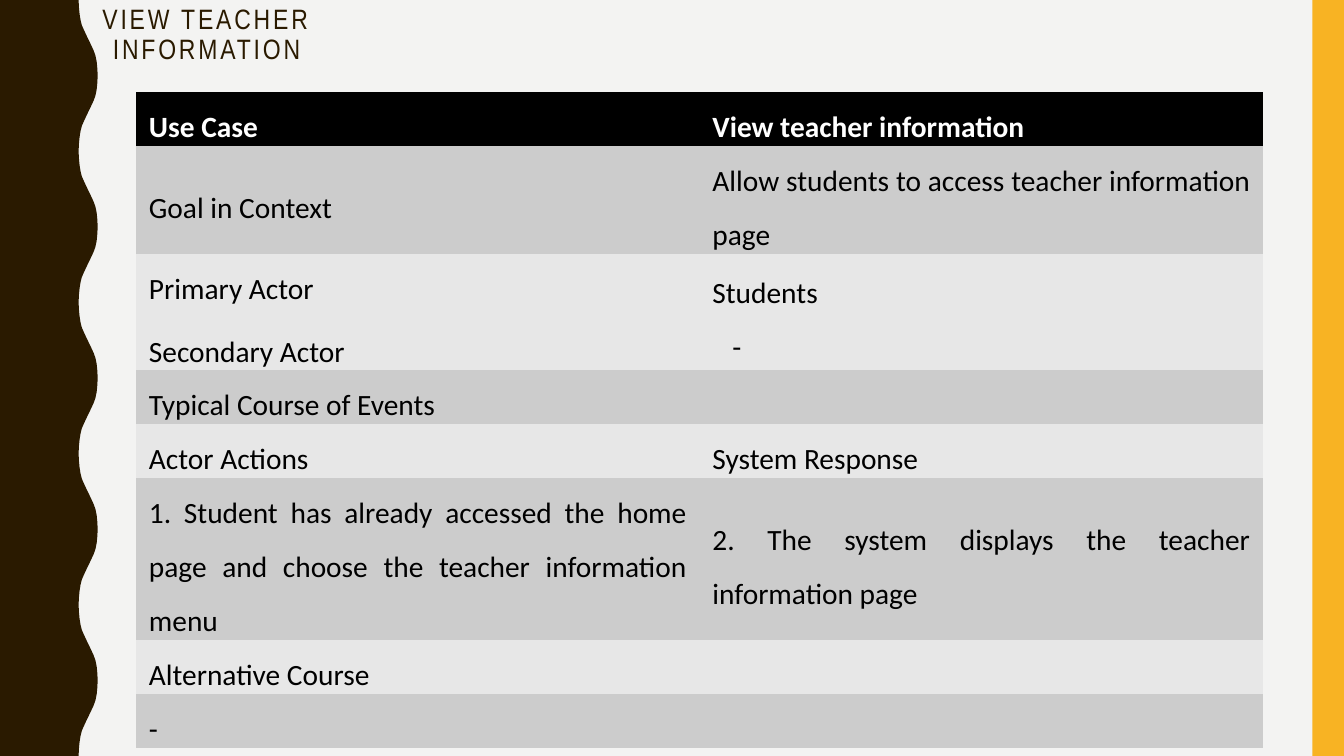
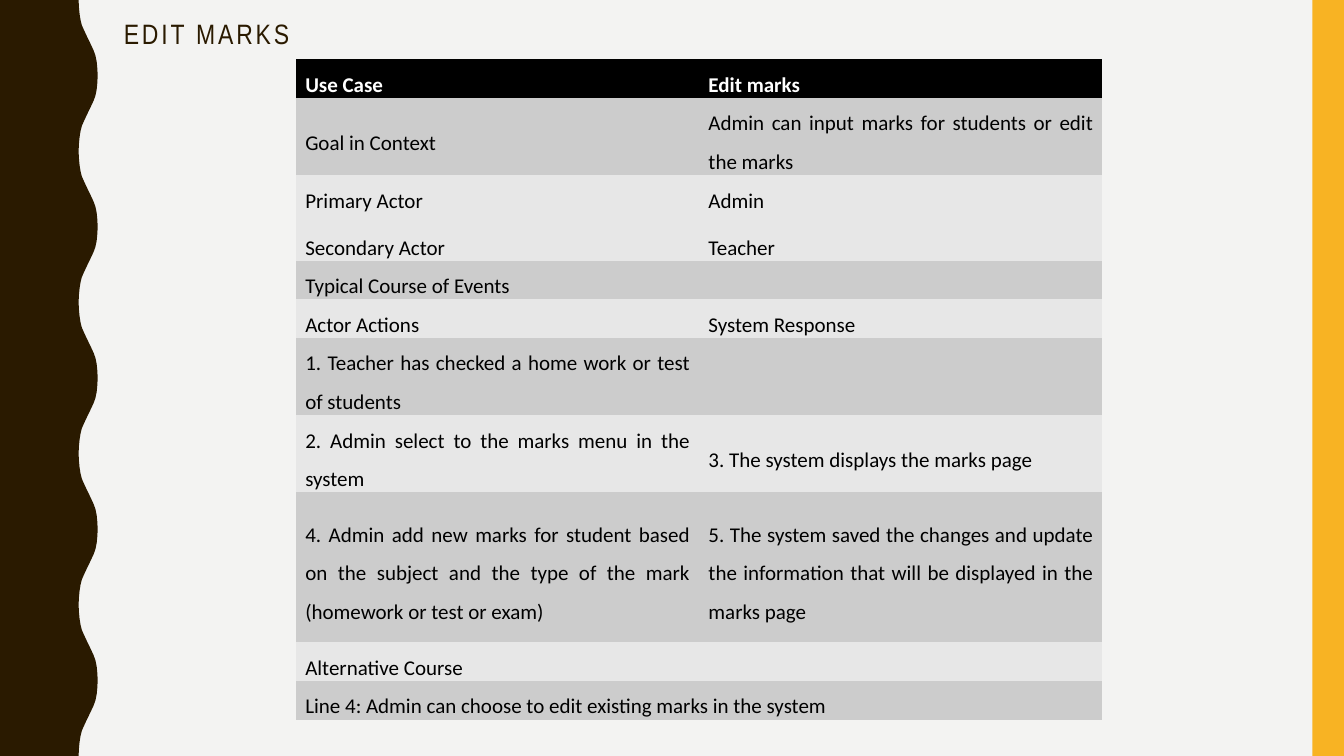
import pptx
import pptx.dml.color
import pptx.enum.shapes
import pptx.enum.text
import pptx.util

Pt = pptx.util.Pt
ALIGN = pptx.enum.text.PP_ALIGN
MIDDLE = pptx.enum.text.MSO_ANCHOR.MIDDLE

COLORS = {
    "background": "F3F3F2", "wave": "2A1A00", "stripe": "F8B323", "title": "2A1A00",
    "header": "000000", "header_text": "FFFFFF", "text": "000000",
    "dark_row": "CCCCCC", "light_row": "E7E7E7",
}
SLIDE_WIDTH, SLIDE_HEIGHT = 960, 540
TITLE_BOX = {"left": Pt(57.6), "top": Pt(7.2), "width": Pt(180), "height": Pt(36)}
TITLE_FRAME = {"vertical_anchor": MIDDLE, "word_wrap": True,
               "auto_size": pptx.enum.text.MSO_AUTO_SIZE.NONE}
TITLE_PARAGRAPH = {"alignment": ALIGN.CENTER, "line_spacing": 0.9}
TITLE_FONT = {"name": "Arial Narrow", "size": Pt(20), "bold": False}
CELL_PARAGRAPH = {"alignment": ALIGN.JUSTIFY, "line_spacing": 1.5}
NO_STYLE_NO_GRID = "{2D5ABB26-0587-4C30-8999-92F81FD0307C}"

# Half a wave, from trough to crest; the other half mirrors it.
WAVE_PERIOD = 108
HALF_WAVE = [
    (56.2, 0), (56.4, 5), (56.9, 10), (57.6, 14.4), (58.5, 18), (59.8, 21), (61.2, 24),
    (62.6, 27), (64.1, 30), (65.5, 33), (66.9, 36), (68.2, 39.6), (69.1, 44), (69.6, 49),
    (69.8, 54),
]

# Rows are (text lines, left, right); a right side of None spans both columns.
USE_CASES = [
    {
        "title": "VIEW TEACHER INFORMATION",
        "name": "View teacher information",
        "goal": "Allow students to access teacher information page",
        "actors": ["Students", "-"],
        "steps": [
            (3, "1. Student has already accessed the home page and choose the teacher "
                "information menu",
             "2. The system displays the teacher information page"),
        ],
        "alternative": "-",
        "table": {"left": 97.2, "top": 65.5, "column": 402.5, "line": 37.44,
                  "inset": 9.2, "size": 21, "actor_gap": 0},
    },
    {
        "title": "EDIT MARKS",
        "name": "Edit marks",
        "goal": "Admin can input marks for students or edit the marks",
        "actors": ["Admin", "Teacher"],
        "steps": [
            (2, "1. Teacher has checked a home work or test of students", ""),
            (2, "2. Admin select to the marks menu in the system",
             "3. The system displays the marks page"),
            (4, "4. Admin add new marks for student based on the subject and the type of "
                "the mark (homework or test or exam)",
             "5. The system saved the changes and update the information that will be "
             "displayed in the marks page"),
        ],
        "alternative": "Line 4: Admin can choose to edit existing marks in the system",
        "table": {"left": 211.5, "top": 42.4, "column": 288, "line": 26.8,
                  "inset": 6.6, "size": 15, "actor_gap": 6},
    },
]


def rgb(key):
    return pptx.dml.color.RGBColor.from_string(COLORS[key])


def apply(target, values):
    for attribute, value in values.items():
        setattr(target, attribute, value)


def paint(fill, key):
    fill.solid()
    fill.fore_color.rgb = rgb(key)


def add_wave(slide, height):
    rise = HALF_WAVE
    fall = [(x, WAVE_PERIOD - y) for x, y in reversed(rise[1:-1])]
    edge = [(x, y + start) for start in range(0, height, WAVE_PERIOD) for x, y in rise + fall]
    outline = edge + [(rise[0][0], height), (0, height)]
    builder = slide.shapes.build_freeform(0, 0)
    builder.add_line_segments([(Pt(x), Pt(y)) for x, y in outline], close=True)
    return builder.convert_to_shape()


def add_stripe(slide, width, height):
    thickness = 22.5
    return slide.shapes.add_shape(pptx.enum.shapes.MSO_SHAPE.RECTANGLE, Pt(width - thickness),
                                  0, Pt(thickness), Pt(height))


def decorate_layout(layout, slide):
    """Draw the side bands on the slide, then move them behind everything in its layout."""
    paint(layout.background.fill, "background")
    apply(layout.placeholders[0], TITLE_BOX)
    bands = {"wave": add_wave(slide, SLIDE_HEIGHT),
             "stripe": add_stripe(slide, SLIDE_WIDTH, SLIDE_HEIGHT)}
    for key, band in bands.items():
        band.shadow.inherit = False
        paint(band.fill, key)
        band.line.fill.background()
        layout.shapes._spTree.insert(2, band._element)


def fill_title(slide, text):
    frame = slide.shapes.title.text_frame
    frame.text = text
    apply(frame, TITLE_FRAME)
    paragraph = frame.paragraphs[0]
    apply(paragraph, TITLE_PARAGRAPH)
    title_run = paragraph.runs[0]
    apply(title_run.font, TITLE_FONT)
    title_run.font.color.rgb = rgb("title")
    title_run._r.get_or_add_rPr().set("spc", "200")


def table_rows(case):
    return [
        (1, "Use Case", case["name"]),
        (2, "Goal in Context", case["goal"]),
        (2, "Primary Actor\nSecondary Actor", "\n".join(case["actors"])),
        (1, "Typical Course of Events", None),
        (1, "Actor Actions", "System Response"),
        *case["steps"],
        (1, "Alternative Course", None),
        (1, case["alternative"], None),
    ]


def fill_cell(cell, text, gap, font, color):
    cell.text_frame.text = text
    for paragraph in cell.text_frame.paragraphs:
        apply(paragraph, {**CELL_PARAGRAPH, "space_after": Pt(gap)})
        for cell_run in paragraph.runs:
            apply(cell_run.font, font)
            cell_run.font.color.rgb = rgb(color)


def add_use_case_table(slide, rows, box):
    heights = [count * box["line"] + 6 * ("\n" in left) for count, left, _ in rows]
    frame = slide.shapes.add_table(len(rows), 2, Pt(box["left"]), Pt(box["top"]),
                                   Pt(2 * box["column"]), Pt(sum(heights)))
    table = frame.table
    table._tbl.tblPr.find(pptx.oxml.ns.qn("a:tableStyleId")).text = NO_STYLE_NO_GRID
    table.horz_banding = False
    cell_format = {"vertical_anchor": MIDDLE, "margin_left": Pt(box["inset"]),
                   "margin_right": Pt(box["inset"]), "margin_top": 0, "margin_bottom": 0}
    for index, (_, left, right) in enumerate(rows):
        is_header = index == 0
        band = "header" if is_header else ("light_row", "dark_row")[index % 2]
        color = "header_text" if is_header else "text"
        font = {"name": "Calibri", "size": Pt(box["size"]), "bold": is_header}
        table.rows[index].height = Pt(heights[index])
        cells = [table.cell(index, column) for column in range(2)]
        for cell in cells:
            apply(cell, cell_format)
            paint(cell.fill, band)
        fill_cell(cells[0], left, 6, font, color)
        if right is None:
            cells[0].merge(cells[1])
        elif right:
            fill_cell(cells[1], right, box["actor_gap"], font, color)
            for paragraph in cells[1].text_frame.paragraphs:
                if paragraph.text == "-":
                    paragraph._p.get_or_add_pPr().set("marL", str(Pt(14.2)))


def add_use_case_slide(deck, layout, case):
    slide = deck.slides.add_slide(layout)
    fill_title(slide, case["title"])
    add_use_case_table(slide, table_rows(case), case["table"])
    return slide


def main():
    deck = pptx.Presentation()
    apply(deck, {"slide_width": Pt(SLIDE_WIDTH), "slide_height": Pt(SLIDE_HEIGHT)})
    layout = deck.slide_layouts.get_by_name("Title Only")
    slides = [add_use_case_slide(deck, layout, case) for case in USE_CASES]
    decorate_layout(layout, slides[0])
    deck.save("out.pptx")


if __name__ == "__main__":
    main()
